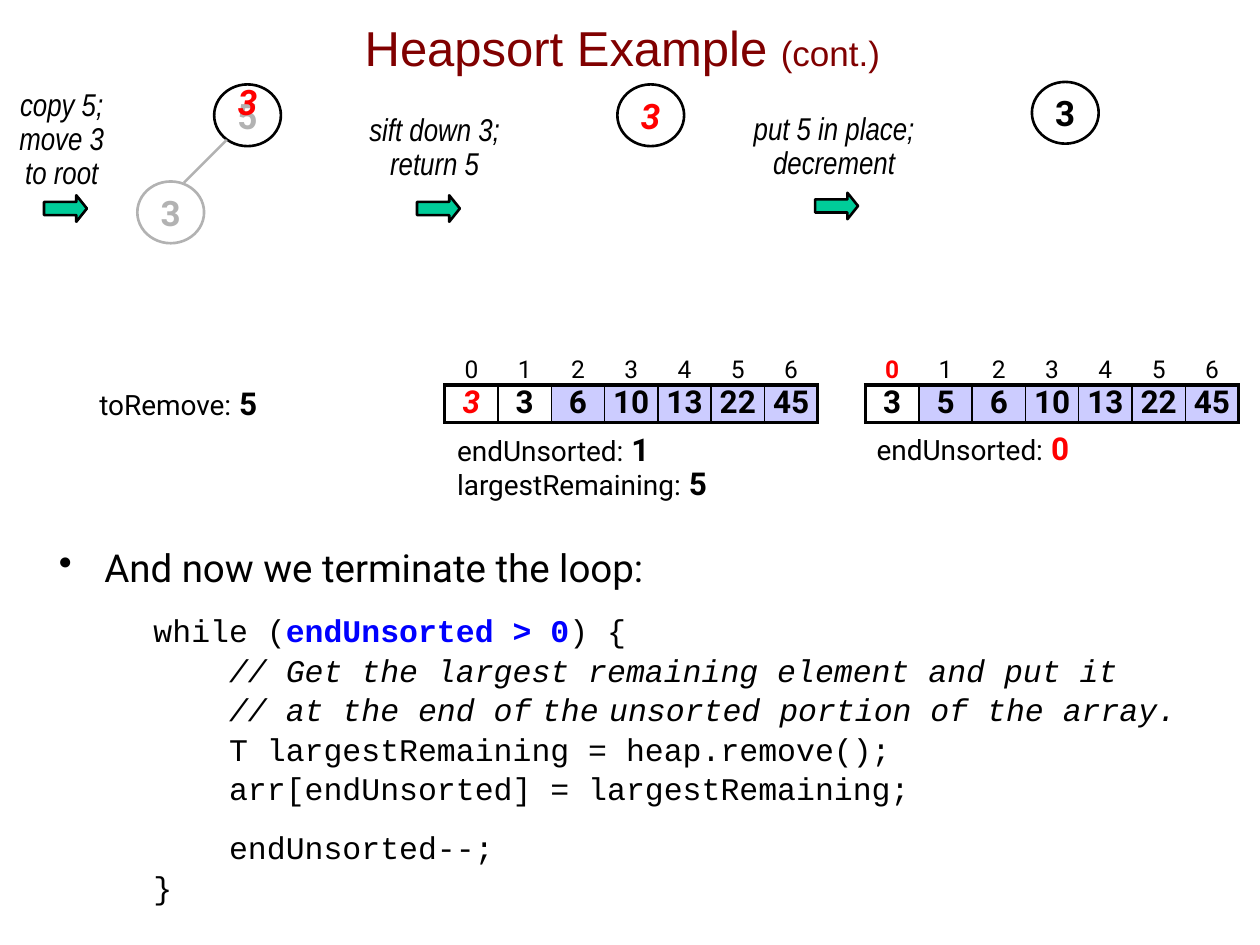
from lxml import etree
from pptx import Presentation, util as u
from pptx.dml.color import RGBColor
from pptx.enum import shapes, text
from pptx.oxml import ns

W, H = u.Inches(10), u.Inches(7.5)
COL, ROW = W / 100, H / 75
BLACK, RED, GREY, BLUE = "000000", "FF0000", "B2B2B2", "0000FF"
LILAC, GREEN, MAROON = "CCCCFF", "00CC99", "800000"
CENTER = text.PP_ALIGN.CENTER
MIDDLE = text.MSO_ANCHOR.MIDDLE
LABEL = {"size": 16, "name": "Roboto"}
VALUE = {"size": 18, "name": "Roboto", "bold": True}
CODE = {"size": 18, "name": "Courier New"}
NOTE = {"size": 18, "name": "Arial Narrow", "italic": True}
SORTED = ["6", "10", "13", "22", "45"]
THICK, THIN = 2.25, 1


def rgb(value):
    return RGBColor.from_string(value)


def box(x, y, w, h):
    return [int(x * COL), int(y * ROW), int(w * COL), int(h * ROW)]


def add_run(p, words, fmt, color=BLACK):
    for i, part in enumerate(words.split("\n")):
        if i:
            p.add_line_break()
        r = p.add_run()
        r.text = part
        for key, value in fmt.items():
            setattr(r.font, key, u.Pt(value) if key == "size" else value)
        r.font.color.rgb = rgb(color)


def format_frame(tf, inset=(0, 0, 0, 0), anchor=MIDDLE):
    tf.vertical_anchor = anchor
    for side, value in zip(("left", "top", "right", "bottom"), inset):
        setattr(tf, "margin_" + side, u.Inches(value))


def add_title(s):
    title = s.shapes.title
    title.left, title.top, title.width, title.height = box(6.4, -0.9, 86, 9.3)
    format_frame(title.text_frame, (0.1, 0.05, 0.1, 0.05))
    p = title.text_frame.paragraphs[0]
    p.alignment = CENTER
    add_run(p, "Heapsort Example ", {"size": 28, "name": "Arial"}, MAROON)
    add_run(p, "(cont.)", {"size": 20, "name": "Arial"}, MAROON)


def add_node(s, x, y, key, color=BLACK, outline=BLACK, italic=False):
    sp = s.shapes.add_shape(shapes.MSO_SHAPE.OVAL, *box(x, y, 5.3, 4.9))
    sp.shadow.inherit = False
    sp.fill.background()
    if outline:
        sp.line.color.rgb = rgb(outline)
        sp.line.width = u.Pt(1.5)
    else:
        sp.line.fill.background()
    format_frame(sp.text_frame)
    p = sp.text_frame.paragraphs[0]
    p.alignment = CENTER
    add_run(p, key, {"size": 20, "name": "Roboto", "bold": True, "italic": italic}, color)


def add_edge(s, x1, y1, x2, y2):
    line = s.shapes.add_connector(shapes.MSO_CONNECTOR.STRAIGHT,
                                  *box(x1, y1, x2, y2))
    line.line.color.rgb = rgb(GREY)
    line.line.width = u.Pt(1.5)
    etree.SubElement(line._element.spPr, ns.qn("a:effectLst"))


def add_arrow(s, x, y):
    sp = s.shapes.add_shape(shapes.MSO_SHAPE.RIGHT_ARROW, *box(x, y, 3.4, 2.1))
    sp.shadow.inherit = False
    sp.adjustments[1] = 0.4
    sp.fill.solid()
    sp.fill.fore_color.rgb = rgb(GREEN)
    sp.line.color.rgb = rgb(BLACK)
    sp.line.width = u.Pt(1.5)


def add_label(s, place, lines, align=None, spacing=0.9):
    tf = s.shapes.add_textbox(*box(*place)).text_frame
    tf.word_wrap = False
    tf.auto_size = text.MSO_AUTO_SIZE.SHAPE_TO_FIT_TEXT
    for i, runs in enumerate(lines):
        p = tf.add_paragraph() if i else tf.paragraphs[0]
        p.alignment, p.line_spacing = align, spacing
        for words, *style in runs:
            add_run(p, words, *style)


def variable(name, value, color=BLACK):
    return [(name + ":", LABEL), (" ", {**VALUE, "bold": False}), (value, VALUE, color)]


def set_borders(cell, **widths):
    tc_pr = cell._tc.get_or_add_tcPr()
    for side in "LRTB":
        if side in widths:
            ln = etree.SubElement(tc_pr, ns.qn("a:ln" + side), w=str(u.Pt(widths[side])))
            fill = etree.SubElement(ln, ns.qn("a:solidFill"))
            etree.SubElement(fill, ns.qn("a:srgbClr"), val=BLACK)


def fill_cell(cell, words, fmt, color, fill=None):
    if fill:
        cell.fill.solid()
        cell.fill.fore_color.rgb = rgb(fill)
    else:
        cell.fill.background()
    p = cell.text_frame.paragraphs[0]
    p.alignment = CENTER
    add_run(p, words, fmt, color)


def add_array(s, x, values, first_sorted, red_index=None, red_value=None):
    n = len(values)
    table = s.shapes.add_table(2, n, *box(x, 27.7, 29.6, 5.8)).table
    table.first_row = table.horz_banding = False
    table._tbl.tblPr.find(ns.qn("a:tableStyleId")).text = "{2D5ABB26-0587-4C30-8999-92F81FD0307C}"
    for row, height in zip(table.rows, (2.8, 3)):
        row.height = int(height * ROW)
    for i, value in enumerate(values):
        index, item = table.cell(0, i), table.cell(1, i)
        format_frame(index, (0.1, 0.05, 0.1, 0), text.MSO_ANCHOR.BOTTOM)
        format_frame(item, anchor=text.MSO_ANCHOR.TOP)
        set_borders(index, B=THICK)
        set_borders(item, L=THIN if i else THICK, R=THIN if i < n - 1 else THICK,
                    T=THICK, B=THICK)
        fill_cell(index, str(i), {"size": 14, "name": "Roboto", "bold": i == red_index},
                  RED if i == red_index else BLACK)
        fill_cell(item, value, {**VALUE, "italic": i == red_value},
                  RED if i == red_value else BLACK, LILAC if i >= first_sorted else None)


def add_body(s):
    comment = {**CODE, "italic": True}
    narrow = {**comment, "size": 10}
    code = [
        (12, [("while (", CODE), ("endUnsorted > 0", {**CODE, "bold": True}, BLUE), (") {", CODE)]),
        (1, [("    // Get the largest remaining element and put it", comment)]),
        (1, [("    // at the end of", comment), (" ", narrow), ("the", comment),
             (" ", narrow), ("unsorted portion of the array.", comment)]),
        (1, [("    T largestRemaining = heap.remove();", CODE)]),
        (1, [("    arr[endUnsorted] = largestRemaining;", CODE)]),
        (12, [("    endUnsorted--;", CODE)]),
        (1, [("}", CODE)]),
    ]
    tf = s.shapes.add_textbox(*box(3.7, 42.7, 96.3, 29)).text_frame
    tf.word_wrap = True
    p = tf.paragraphs[0]
    p_pr = p._p.get_or_add_pPr()
    p_pr.set("marL", str(u.Inches(0.36)))
    p_pr.set("indent", str(u.Inches(-0.36)))
    etree.SubElement(p_pr, ns.qn("a:buChar"), char="•")
    add_run(p, "And now we terminate the loop:", {"size": 22, "name": "Roboto"})
    for before, runs in code:
        p = tf.add_paragraph()
        p._p.get_or_add_pPr().set("marL", str(u.Inches(0.75)))
        p.space_before = u.Pt(before)
        for words, *style in runs:
            add_run(p, words, *style)


def main():
    prs = Presentation()
    prs.slide_width, prs.slide_height = W, H
    s = prs.slides.add_slide(prs.slide_layouts[5])
    add_title(s)
    add_node(s, 17, 6.7, "5", GREY)
    add_node(s, 10.9, 14.4, "3", GREY, GREY)
    add_edge(s, 18, 11.1, 14.6, 14.5)
    add_node(s, 49, 6.7, "3", RED, italic=True)
    add_node(s, 81.9, 6.5, "3")
    add_node(s, 17, 5.6, "3", RED, None, True)
    add_label(s, (6.9, 30, 14.9, 4), [variable("toRemove", "5")], spacing=1)
    add_array(s, 35.3, ["3", "3"] + SORTED, 2, red_value=0)
    add_label(s, (35.3, 34, 22, 6.4),
              [variable("endUnsorted", "1"), variable("largestRemaining", "5")])
    add_array(s, 68.7, ["3", "5"] + SORTED, 1, red_index=0)
    add_label(s, (68.6, 33.9, 17.4, 3.7), [variable("endUnsorted", "0", RED)])
    for x, y in ((3.5, 15.5), (33.1, 15.5), (64.7, 15.3)):
        add_arrow(s, x, y)
    for place, words in (((0.5, 6.6, 8.8, 9.1), "copy 5;\nmove 3\nto root"),
                         ((28.3, 8.6, 12.4, 6.4), "sift down 3;\nreturn 5"),
                         ((58.7, 8.5, 15, 6.5), "put 5 in place;\ndecrement")):
        add_label(s, place, [[(words, NOTE)]], CENTER)
    add_body(s)
    prs.save("out.pptx")


if __name__ == "__main__":
    main()
